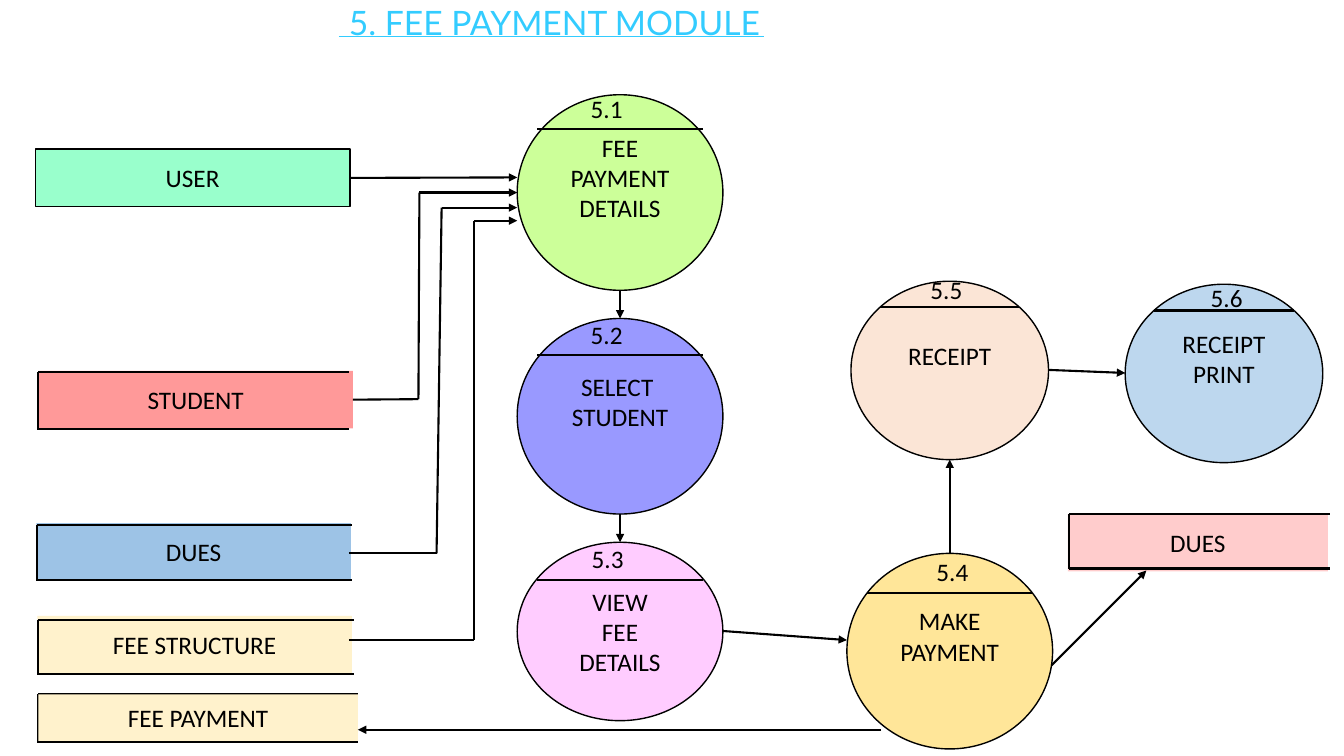
from dataclasses import dataclass

from pptx import Presentation
from pptx.dml.color import RGBColor
from pptx.enum.shapes import MSO_CONNECTOR as CONN, MSO_SHAPE as SHAPE
from pptx.enum.text import MSO_ANCHOR as ANCHOR, PP_ALIGN as ALIGN
from pptx.oxml.ns import qn
from pptx.util import Inches, Pt
from lxml.etree import SubElement


@dataclass(frozen=True)
class Theme:
    ink: str = "000000"
    title: str = "33CCFF"
    mint: str = "99FFCC"
    lime: str = "CCFF99"
    violet: str = "9999FF"
    pink: str = "FFCCFF"
    gold: str = "FFE699"
    cream: str = "FFF2CC"
    coral: str = "FF9999"
    blue: str = "9DC3E6"
    peach: str = "FBE5D6"
    sky: str = "BDD7EE"
    rose: str = "FFCCCC"
    body_font: str = "Calibri"
    title_font: str = "Lato"
    body_size: float = 18
    title_size: float = 24
    outline: float = 1
    stroke: float = 1.5
    hairline: float = 0.5
    blank_line: float = 0.3


def write_text(tf, text, *, font, size, color, align=ALIGN.LEFT, anchor=ANCHOR.TOP):
    tf.word_wrap = True
    tf.vertical_anchor = anchor
    for i, line in enumerate(text.split("\n")):
        p = tf.paragraphs[0] if i == 0 else tf.add_paragraph()
        p.alignment = align
        r = p.add_run()
        r.text = line
        r.font.name = font
        r.font.size = Pt(size)
        r.font.color.rgb = RGBColor.from_string(color)


class Diagram:
    def __init__(self, slide, theme):
        self.s = slide
        self.t = theme

    def text(self, x, y, w, h, text, **style):
        t = self.t
        base = dict(font=t.body_font, size=t.body_size, color=t.ink)
        sp = self.s.shapes.add_textbox(Inches(x), Inches(y), Inches(w), Inches(h))
        write_text(sp.text_frame, text, **{**base, **style})
        return sp

    def shape(self, kind, x, y, w, h, text, fill, outlined=True):
        t = self.t
        sp = self.s.shapes.add_shape(kind, Inches(x), Inches(y), Inches(w), Inches(h))
        sp.shadow.inherit = False
        sp.fill.solid()
        sp.fill.fore_color.rgb = RGBColor.from_string(fill)
        if outlined:
            sp.line.color.rgb = RGBColor.from_string(t.ink)
            sp.line.width = Pt(t.outline)
        else:
            sp.line.fill.background()
        write_text(sp.text_frame, text, font=t.body_font, size=t.body_size,
                   color=t.ink, align=ALIGN.CENTER, anchor=ANCHOR.MIDDLE)
        return sp

    def line(self, x1, y1, x2, y2, arrow=False, color=None, width=None, start=None):
        t = self.t
        c = self.s.shapes.add_connector(
            CONN.STRAIGHT, Inches(x1), Inches(y1), Inches(x2), Inches(y2))
        if start is not None:
            c.begin_connect(start, 3)
        c.line.color.rgb = RGBColor.from_string(color or t.ink)
        c.line.width = Pt(width or t.stroke)
        if arrow:
            SubElement(c.line._get_or_add_ln(), qn("a:tailEnd"), type="triangle")
        SubElement(c._element.spPr, qn("a:effectLst"))
        return c

    def route(self, *points, start=None):
        legs = list(zip(points, points[1:]))
        for i, (a, b) in enumerate(legs):
            self.line(*a, *b, arrow=i == len(legs) - 1, start=start if i == 0 else None)

    def process(self, x, y, w, h, number, text, fill, label, bar_y, bar_half, blanks=0):
        sp = self.shape(SHAPE.OVAL, x, y, w, h, text, fill)
        sp.text_frame.margin_bottom = Inches(0.05 + blanks * self.t.blank_line)
        mid = x + w / 2
        self.line(mid - bar_half, bar_y, mid + bar_half, bar_y)
        self.text(*label, 1.16, 0.4, number)

    def frame(self, left, top, right, bottom):
        self.line(left, top, left, bottom + 0.01)
        for y in (top, bottom):
            self.line(left, y, right, y)

    def store(self, x, y, w, h, text, fill, frame, frame_behind=False):
        if frame_behind:
            self.frame(*frame)
        sp = self.shape(SHAPE.RECTANGLE, x, y, w, h, text, fill, outlined=False)
        if not frame_behind:
            self.frame(*frame)
        return sp


def main():
    prs = Presentation()
    prs.slide_width, prs.slide_height = Inches(13.33), Inches(7.5)
    t = Theme()
    d = Diagram(prs.slides.add_slide(prs.slide_layouts[6]), t)

    d.text(2.48, -0.03, 6.04, 0.5, "5. FEE PAYMENT MODULE", font=t.title_font,
           size=t.title_size, color=t.title, align=ALIGN.CENTER)
    d.line(3.36, 0.36, 7.58, 0.36, color=t.title, width=t.hairline)

    processes = [
        (5.13, 0.94, 2.04, 1.94, "5.1", "FEE\nPAYMENT\nDETAILS", t.lime, (5.76, 0.88), 1.28, 0.82, 1),
        (5.13, 3.16, 2.04, 1.94, "5.2", "SELECT \nSTUDENT", t.violet, (5.76, 3.12), 3.52, 0.82, 1),
        (5.13, 5.38, 2.04, 1.77, "5.3", "VIEW\nFEE\nDETAILS", t.pink, (5.77, 5.34), 5.75, 0.82, 0),
        (8.4, 5.49, 2.04, 1.94, "5.4", "MAKE\nPAYMENT", t.gold, (9.19, 5.47), 5.88, 0.82, 1),
        (8.44, 2.79, 1.96, 1.77, "5.5", "RECEIPT", t.peach, (9.13, 2.67), 3.05, 0.69, 1),
        (11.16, 2.82, 1.96, 1.77, "5.6", "RECEIPT\nPRINT", t.sky, (11.91, 2.75), 3.08, 0.69, 1),
    ]
    for process in processes:
        d.process(*process)

    user = d.shape(SHAPE.RECTANGLE, 0.35, 1.48, 3.12, 0.57, "USER", t.mint)
    student = d.store(0.38, 3.68, 3.12, 0.57, "STUDENT", t.coral, (0.38, 3.69, 3.46, 4.26))
    d.store(0.36, 5.19, 3.12, 0.57, "DUES", t.blue, (0.37, 5.21, 3.49, 5.75))
    d.store(0.37, 6.11, 3.12, 0.57, "FEE STRUCTURE", t.cream, (0.38, 6.15, 3.51, 6.69))
    d.store(0.38, 6.89, 3.17, 0.46, "FEE PAYMENT", t.cream, (0.38, 6.89, 3.55, 7.36),
            frame_behind=True)
    d.store(10.59, 5.1, 2.58, 0.57, "DUES", t.rose, (10.6, 5.1, 13.19, 5.64))

    d.route((3.47, 1.76), (5.13, 1.76), start=user)
    d.route((3.5, 3.96), (4.15, 3.96), (4.16, 1.91), (5.13, 1.91), start=student)
    d.route((3.46, 5.49), (4.33, 5.49), (4.38, 2.06), (5.13, 2.06))
    d.route((3.46, 6.35), (4.7, 6.35), (4.7, 2.19), (5.13, 2.19))

    flows = [
        (6.15, 2.88, 6.15, 3.16),
        (6.15, 5.1, 6.15, 5.38),
        (7.17, 6.26, 8.4, 6.35),
        (9.42, 5.49, 9.42, 4.56),
        (10.4, 3.67, 11.16, 3.7),
        (10.43, 6.6, 11.37, 5.66),
        (8.74, 7.24, 3.55, 7.24),
    ]
    for flow in flows:
        d.line(*flow, arrow=True)

    prs.save("out.pptx")


if __name__ == "__main__":
    main()
